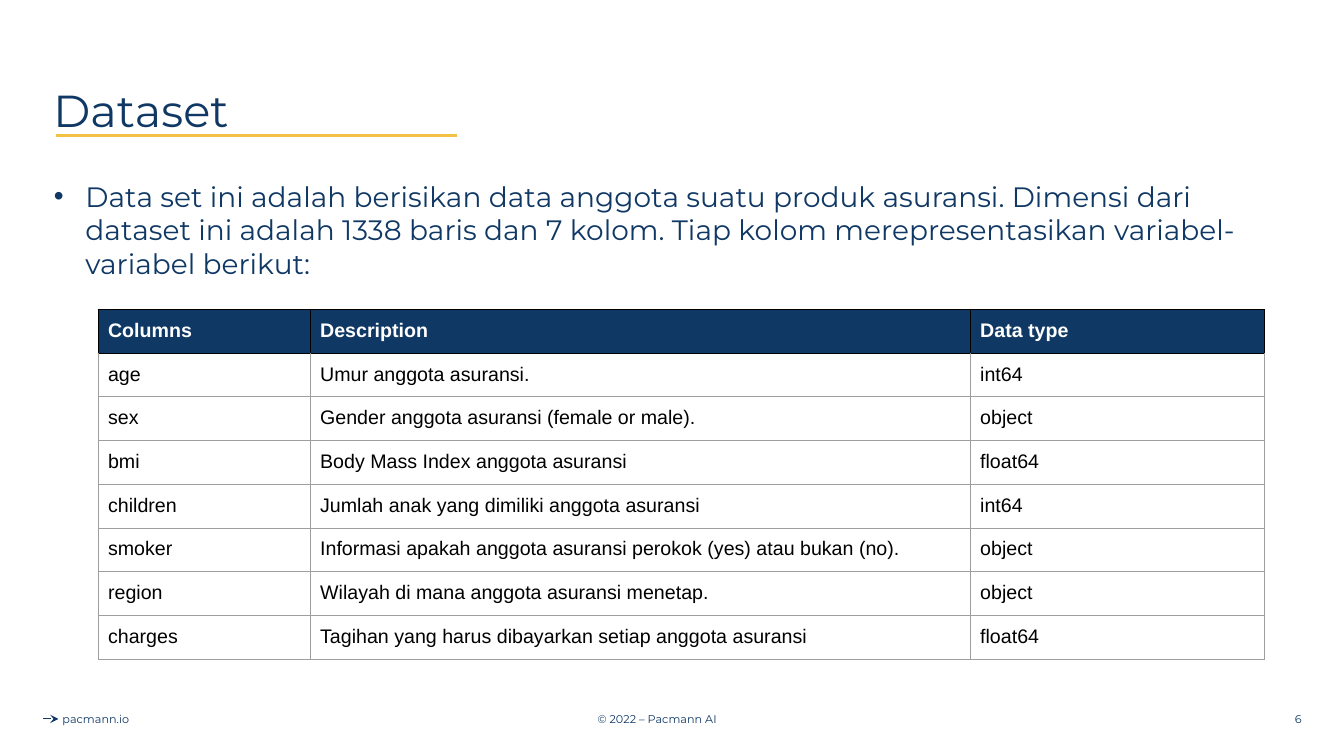
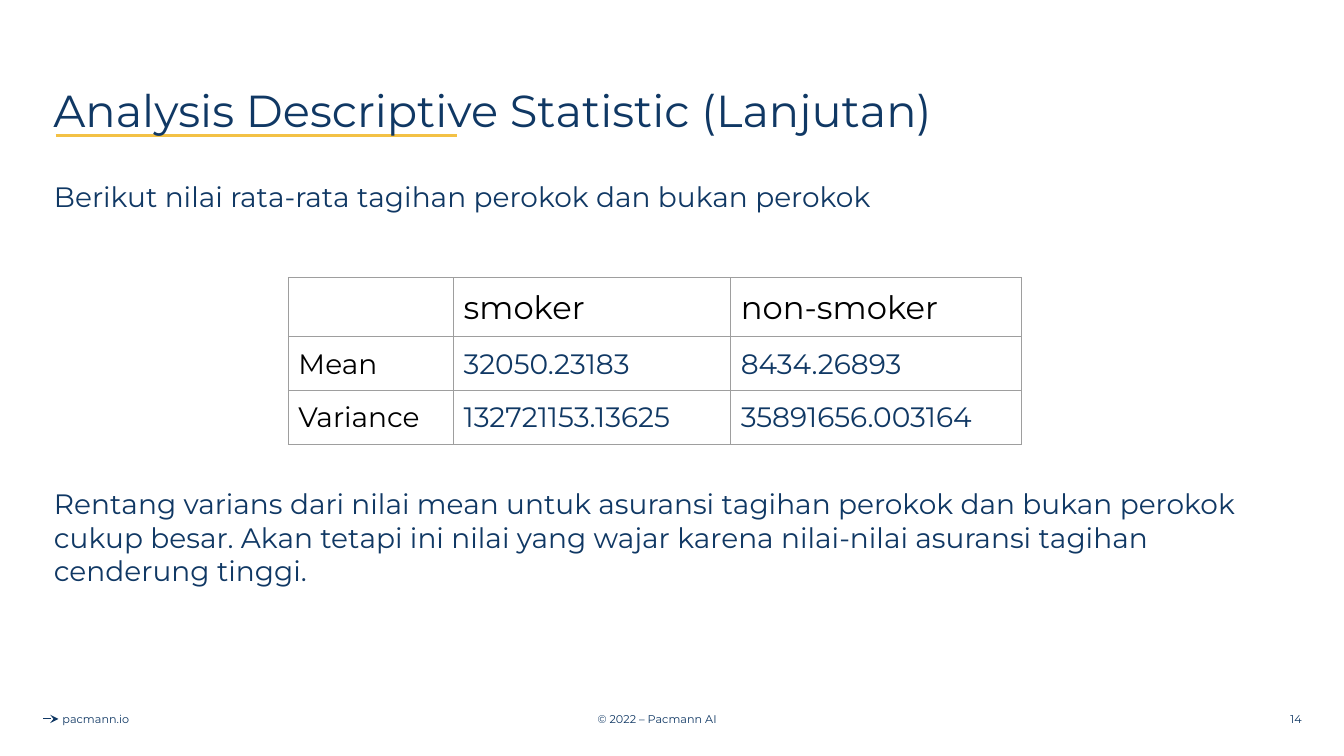
from lxml import etree
from pptx import Presentation, util as u
from pptx.dml import color
from pptx.enum import shapes, text
from pptx.oxml import ns

Pt = u.Pt
NAVY, GOLD, BLACK, WHITE, GREY = "103864", "F3C145", "000000", "FFFFFF", "9E9E9E"
SANS, TABLE_FONT = "Montserrat", "Arial"
LEFT, CENTER, RIGHT = text.PP_ALIGN.LEFT, text.PP_ALIGN.CENTER, text.PP_ALIGN.RIGHT
SLIDE_W, SLIDE_H = 960, 540
BODY_X, BODY_W = 31.5, 897

DATASET_ROWS = [
    ("Columns", "Description", "Data type"),
    ("age", "Umur anggota asuransi.", "int64"),
    ("sex", "Gender anggota asuransi (female or male).", "object"),
    ("bmi", "Body Mass Index anggota asuransi", "float64"),
    ("children", "Jumlah anak yang dimiliki anggota asuransi", "int64"),
    ("smoker", "Informasi apakah anggota asuransi perokok (yes) atau bukan (no).", "object"),
    ("region", "Wilayah di mana anggota asuransi menetap.", "object"),
    ("charges", "Tagihan yang harus dibayarkan setiap anggota asuransi", "float64"),
]
SMOKER_ROWS = [
    ("", "smoker", "non-smoker"),
    ("Mean", "32050.23183", "8434.26893"),
    ("Variance", "132721153.13625", "35891656.003164"),
]


def rgb(value):
    """Turn a hex string into a colour."""
    return color.RGBColor.from_string(value)


def add_sub(parent, tag, **attrs):
    """Append a DrawingML element and return it."""
    return etree.SubElement(parent, ns.qn(tag), attrs)


def add_run(p, words, size, hex_color=NAVY, font=SANS, bold=False):
    """Add one formatted run to a paragraph."""
    r = p.add_run()
    r.text = words
    r.font.size, r.font.name, r.font.bold = Pt(size), font, bold
    r.font.color.rgb = rgb(hex_color)


def add_text(slide, box, words, size, align=LEFT, anchor=text.MSO_ANCHOR.TOP,
             spacing=None, bullet=False):
    """Place a wrapped single-paragraph text box."""
    tf = slide.shapes.add_textbox(*map(Pt, box)).text_frame
    tf.word_wrap = True
    tf.vertical_anchor = anchor
    p = tf.paragraphs[0]
    p.alignment, p.line_spacing = align, spacing
    if bullet:
        pPr = p._p.get_or_add_pPr()
        pPr.set("marL", str(Pt(22.5)))
        pPr.set("indent", str(-Pt(22.5)))
        add_sub(add_sub(pPr, "a:buClr"), "a:srgbClr", val=NAVY)
        add_sub(pPr, "a:buFont", typeface="Arial")
        add_sub(pPr, "a:buChar", char="•")
    add_run(p, words, size)


def add_line(slide, x, y, length, hex_color, width, arrow=False):
    """Draw a horizontal line, with an arrowhead at its end if asked."""
    cx = slide.shapes.add_connector(
        shapes.MSO_CONNECTOR.STRAIGHT, Pt(x), Pt(y), Pt(x + length), Pt(y))
    cx.line.color.rgb = rgb(hex_color)
    cx.line.width = Pt(width)
    if arrow:
        add_sub(cx.line._get_or_add_ln(), "a:tailEnd", type="stealth")
    add_sub(cx._element.spPr, "a:effectLst")


def add_footer(slide, number):
    """Place the arrow, site, copyright line and page number."""
    y, h = 499, 29
    add_line(slide, 31, y + h / 2, 10.8, NAVY, 0.75, arrow=True)
    for x, w, words, align in (
        (307.5, 324, "© 2022 – Pacmann AI", CENTER),
        (8.5, 120, "pacmann.io", CENTER),
        (721, 216, str(number), RIGHT),
    ):
        add_text(slide, (x, y, w, h), words, 8, align, text.MSO_ANCHOR.MIDDLE)


def add_page(prs, title, number):
    """Add a slide with the shared footer, underline and title."""
    slide = prs.slides.add_slide(prs.slide_layouts[6])
    add_footer(slide, number)
    add_line(slide, 40, 96.5, 286.5, GOLD, 2.25)
    add_text(slide, (31, 29, 898, 104), title, 32,
             anchor=text.MSO_ANCHOR.MIDDLE, spacing=0.9)
    return slide


def style_cell(cell, borders, fill=None):
    """Set the margins, side borders and fill of a table cell."""
    cell.margin_left = cell.margin_right = Pt(7.2)
    cell.margin_top = cell.margin_bottom = Pt(7.2)
    tcPr = cell._tc.get_or_add_tcPr()
    for side, hex_color in zip("LRTB", borders):
        ln = add_sub(tcPr, f"a:ln{side}", w=str(Pt(0.75)))
        add_sub(add_sub(ln, "a:solidFill"), "a:srgbClr", val=hex_color)
    if fill:
        cell.fill.solid()
        cell.fill.fore_color.rgb = rgb(fill)
    else:
        cell.fill.background()


def add_grid(slide, x, y, widths, heights, rows, text_style, dark_header=False):
    """Place a bordered table; text_style maps row and column to run settings."""
    tbl = slide.shapes.add_table(
        len(rows), len(widths), Pt(x), Pt(y), Pt(sum(widths)), Pt(sum(heights))).table
    tbl.first_row = tbl.horz_banding = False
    for column, width in zip(tbl.columns, widths):
        column.width = Pt(width)
    for i, (values, height) in enumerate(zip(rows, heights)):
        tbl.rows[i].height = Pt(height)
        header = dark_header and i == 0
        side = BLACK if header else GREY
        top = BLACK if dark_header and i < 2 else GREY
        for j, value in enumerate(values):
            cell = tbl.cell(i, j)
            style_cell(cell, (side, side, top, side), NAVY if header else None)
            if value:
                add_run(cell.text_frame.paragraphs[0], value, **text_style(i, j))


def dataset_style(i, j):
    """Give the run settings of the dataset table."""
    return dict(size=14, font=TABLE_FONT, bold=i == 0,
                hex_color=BLACK if i else WHITE)


def smoker_style(i, j):
    """Give the run settings of the smoker table."""
    return dict(size=20 if i else 23, hex_color=NAVY if i and j else BLACK)


def dataset_slide(prs):
    """Build the slide describing the dataset columns."""
    slide = add_page(prs, "Dataset", 6)
    add_text(slide, (BODY_X, 124.5, BODY_W, 80),
             "Data set ini adalah berisikan data anggota suatu produk asuransi. "
             "Dimensi dari dataset ini adalah 1338 baris dan 7 kolom. "
             "Tiap kolom merepresentasikan variabel-variabel berikut:", 20, bullet=True)
    add_grid(slide, 70, 221, (151.5, 471.5, 210.5), [31.2] * len(DATASET_ROWS),
             DATASET_ROWS, dataset_style, dark_header=True)


def smoker_slide(prs):
    """Build the slide comparing smoker and non-smoker charges."""
    slide = add_page(prs, "Analysis Descriptive Statistic (Lanjutan)", 14)
    add_text(slide, (BODY_X, 124.5, BODY_W, 32),
             "Berikut nilai rata-rata tagihan perokok dan bukan perokok", 20)
    add_grid(slide, 206, 198.5, (118, 198, 208), (42, 38.5, 38.5),
             SMOKER_ROWS, smoker_style)
    add_text(slide, (BODY_X, 344, BODY_W, 80),
             "Rentang varians dari nilai mean untuk asuransi tagihan perokok dan bukan "
             "perokok cukup besar. Akan tetapi ini nilai yang wajar karena nilai-nilai "
             "asuransi tagihan cenderung tinggi.", 20)


def main():
    """Build and save the presentation."""
    prs = Presentation()
    prs.slide_width, prs.slide_height = Pt(SLIDE_W), Pt(SLIDE_H)
    dataset_slide(prs)
    smoker_slide(prs)
    prs.save("out.pptx")


if __name__ == "__main__":
    main()
